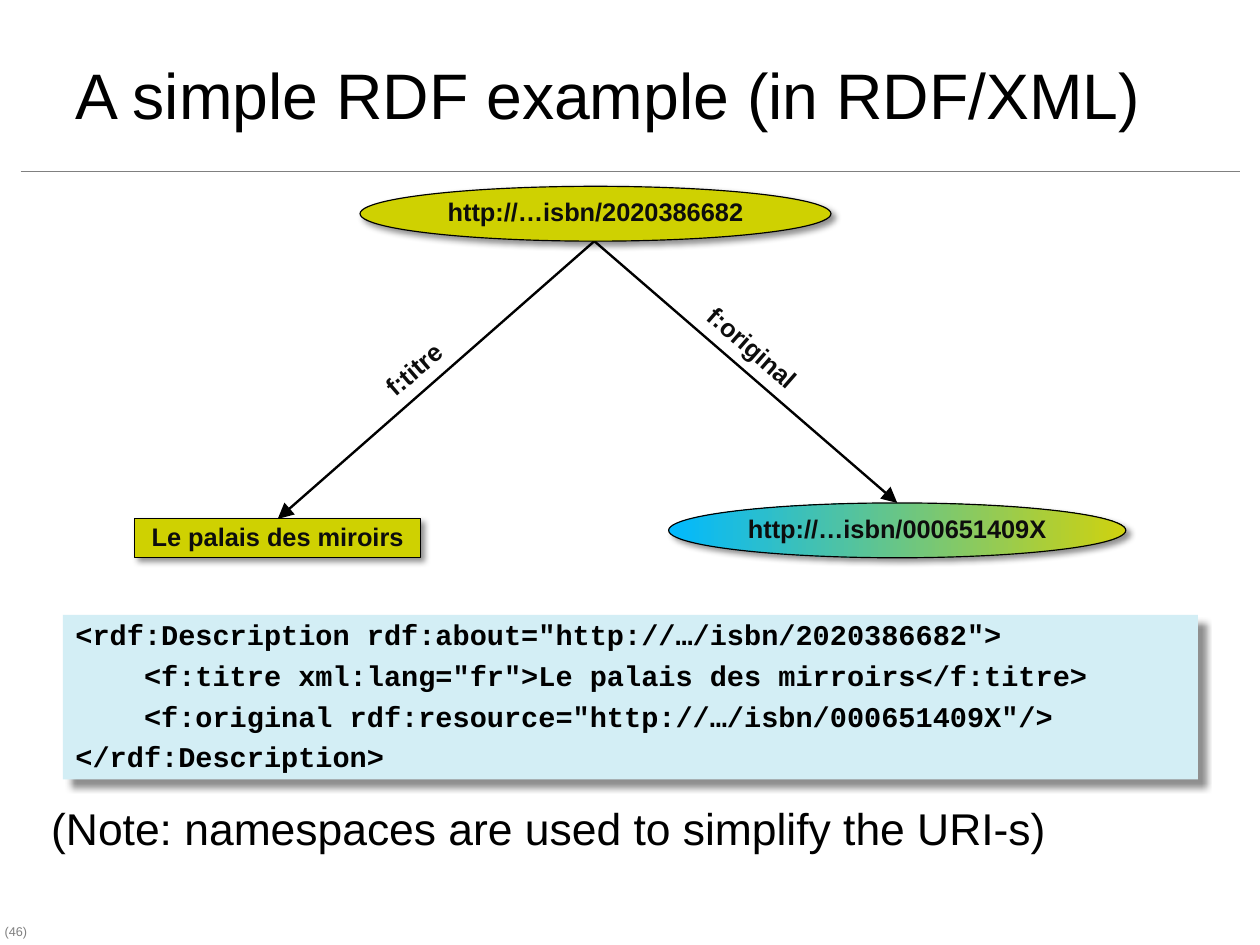
"""Build a slide showing an RDF graph with its RDF/XML serialisation."""
from dataclasses import dataclass

from lxml import etree
from pptx import Presentation
from pptx.dml.color import RGBColor
from pptx.enum.shapes import MSO_CONNECTOR, MSO_SHAPE
from pptx.enum.text import MSO_ANCHOR, MSO_AUTO_SIZE, PP_ALIGN
from pptx.oxml.ns import qn
from pptx.util import Cm, Pt

PX = 9144
ELLIPSE, RECTANGLE = MSO_SHAPE.OVAL, MSO_SHAPE.RECTANGLE
STRAIGHT = MSO_CONNECTOR.STRAIGHT
TOP, MIDDLE = MSO_ANCHOR.TOP, MSO_ANCHOR.MIDDLE
LEFT, CENTER = PP_ALIGN.LEFT, PP_ALIGN.CENTER
NO_AUTOFIT = MSO_AUTO_SIZE.NONE

BLACK, INK, GRAY = "000000", "0D0D0D", "808080"
OLIVE, CODE_BLUE = "CFD101", "D3EEF5"
CODE = """<rdf:Description rdf:about="http://…/isbn/2020386682">
    <f:titre xml:lang="fr">Le palais des mirroirs</f:titre>
    <f:original rdf:resource="http://…/isbn/000651409X"/>
</rdf:Description>"""


@dataclass(frozen=True)
class Box:
    left: int
    top: int
    width: int
    height: int


@dataclass(frozen=True)
class TextStyle:
    size: float
    color: str = BLACK
    font: str = "Arial"
    bold: bool = False
    align: PP_ALIGN = LEFT
    anchor: MSO_ANCHOR = TOP
    spacing: float = 0.87
    before: float = 0
    insets: tuple[int, int, int, int] = (10, 5, 10, 5)
    wrap: bool = True


@dataclass(frozen=True)
class Node:
    text: str
    box: Box
    outline: MSO_SHAPE
    fills: tuple[str, ...]


@dataclass(frozen=True)
class Link:
    start: tuple[int, int]
    end: tuple[int, int]
    color: str
    width: float
    arrow: bool


@dataclass(frozen=True)
class Label:
    text: str
    box: Box
    style: TextStyle
    rotation: float = 0


TITLE_STYLE = TextStyle(40.5, anchor=MIDDLE, spacing=1.0, insets=(11, 4, 11, 6))
CODE_STYLE = TextStyle(18, font="Courier New", bold=True, spacing=0.88,
                       before=6.6, insets=(11, 6, 11, 6))
NOTE_STYLE = TextStyle(28, insets=(10, 10, 10, 5))
NUMBER_STYLE = TextStyle(8, GRAY, insets=(4, 5, 4, 5))
PROPERTY_STYLE = TextStyle(16, INK, bold=True)
NODE_STYLE = TextStyle(16, INK, bold=True, align=CENTER, anchor=MIDDLE, wrap=False)

NODES = [
    Node("http://…isbn/2020386682", Box(315, 163, 412, 48), ELLIPSE, (OLIVE,)),
    Node("Le palais des miroirs", Box(118, 454, 250, 34), RECTANGLE, (OLIVE,)),
    Node("http://…isbn/000651409X", Box(585, 440, 400, 48), ELLIPSE,
         ("00B9FF", "CFD20F")),
]
LINKS = [
    Link((18, 150), (1085, 150), GRAY, 1, False),
    Link((520, 211), (243, 454), BLACK, 1.5, True),
    Link((520, 211), (785, 440), BLACK, 1.5, True),
]
LABELS = [
    Label("(46)", Box(0, 805, 41, 21), NUMBER_STYLE),
    Label("(Note: namespaces are used to simplify the URI-s)",
          Box(35, 697, 930, 58), NOTE_STYLE),
    Label("f:original", Box(597, 295, 134, 34), PROPERTY_STYLE, 41.2),
    Label("f:titre", Box(324, 305, 85, 34), PROPERTY_STYLE, 319.2),
]


def rgb(color: str) -> RGBColor:
    return RGBColor.from_string(color)


def emu(box: Box) -> tuple[int, int, int, int]:
    return box.left * PX, box.top * PX, box.width * PX, box.height * PX


def place(shape, box: Box) -> None:
    shape.left, shape.top, shape.width, shape.height = emu(box)


def write(shape, text: str, style: TextStyle) -> None:
    frame = shape.text_frame
    frame.text = text
    frame.auto_size = NO_AUTOFIT
    frame.word_wrap = style.wrap
    frame.vertical_anchor = style.anchor
    (frame.margin_left, frame.margin_top,
     frame.margin_right, frame.margin_bottom) = (inset * PX for inset in style.insets)
    for index, paragraph in enumerate(frame.paragraphs):
        paragraph.alignment = style.align
        paragraph.line_spacing = style.spacing
        paragraph.space_before = Pt(style.before if index else 0)
        for run in paragraph.runs:
            run.font.name = style.font
            run.font.size = Pt(style.size)
            run.font.bold = style.bold
            run.font.color.rgb = rgb(style.color)


def add_shadow(shape, distance: float) -> None:
    effects = etree.SubElement(shape._element.spPr, qn("a:effectLst"))
    shadow = etree.SubElement(effects, qn("a:outerShdw"), blurRad=str(Pt(4)),
                              dist=str(Pt(distance)), dir="2700000",
                              algn="tl", rotWithShape="0")
    color = etree.SubElement(shadow, qn("a:srgbClr"), val=BLACK)
    etree.SubElement(color, qn("a:alpha"), val="43000")


def add_node(slide, node: Node) -> None:
    shape = slide.shapes.add_shape(node.outline, *emu(node.box))
    if len(node.fills) == 1:
        shape.fill.solid()
        shape.fill.fore_color.rgb = rgb(node.fills[0])
    else:
        shape.fill.gradient()
        shape.fill.gradient_angle = 0
        for stop, color in zip(shape.fill.gradient_stops, node.fills):
            stop.color.rgb = rgb(color)
    shape.line.color.rgb = rgb(BLACK)
    shape.line.width = Pt(0.75)
    add_shadow(shape, 3)
    write(shape, node.text, NODE_STYLE)


def add_link(slide, link: Link) -> None:
    ends = (value * PX for value in link.start + link.end)
    connector = slide.shapes.add_connector(STRAIGHT, *ends)
    connector.line.color.rgb = rgb(link.color)
    connector.line.width = Pt(link.width)
    if link.arrow:
        etree.SubElement(connector.line._get_or_add_ln(), qn("a:tailEnd"),
                         type="triangle", w="lg", len="lg")
    etree.SubElement(connector._element.spPr, qn("a:effectLst"))


def add_label(slide, label: Label) -> None:
    shape = slide.shapes.add_textbox(*emu(label.box))
    shape.rotation = label.rotation
    write(shape, label.text, label.style)


def fill_code(body) -> None:
    place(body, Box(55, 538, 993, 144))
    body.fill.solid()
    body.fill.fore_color.rgb = rgb(CODE_BLUE)
    body.line.fill.background()
    add_shadow(body, 7)
    write(body, CODE, CODE_STYLE)
    for paragraph in body.text_frame.paragraphs:
        properties = paragraph._p.get_or_add_pPr()
        properties.set("marL", "0")
        properties.set("indent", "0")
        etree.SubElement(properties, qn("a:buNone"))


def main() -> None:
    presentation = Presentation()
    presentation.slide_width, presentation.slide_height = Cm(28), Cm(21)
    slide = presentation.slides.add_slide(presentation.slide_layouts[1])
    title, body = slide.placeholders
    place(title, Box(55, 28, 992, 110))
    write(title, "A simple RDF example (in RDF/XML)", TITLE_STYLE)
    fill_code(body)
    for label in LABELS:
        add_label(slide, label)
    for link in LINKS:
        add_link(slide, link)
    for node in NODES:
        add_node(slide, node)
    presentation.save("out.pptx")


if __name__ == "__main__":
    main()
